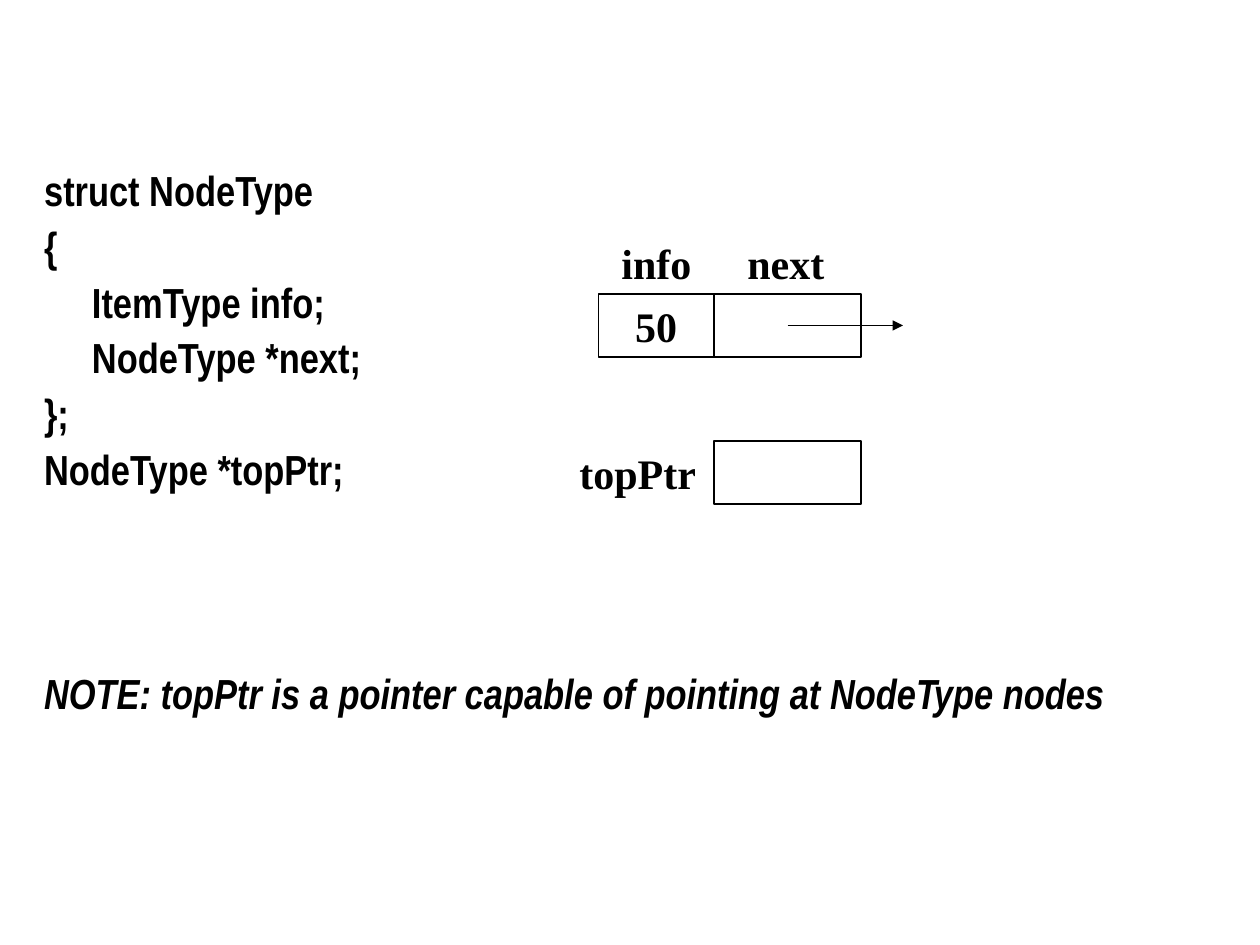
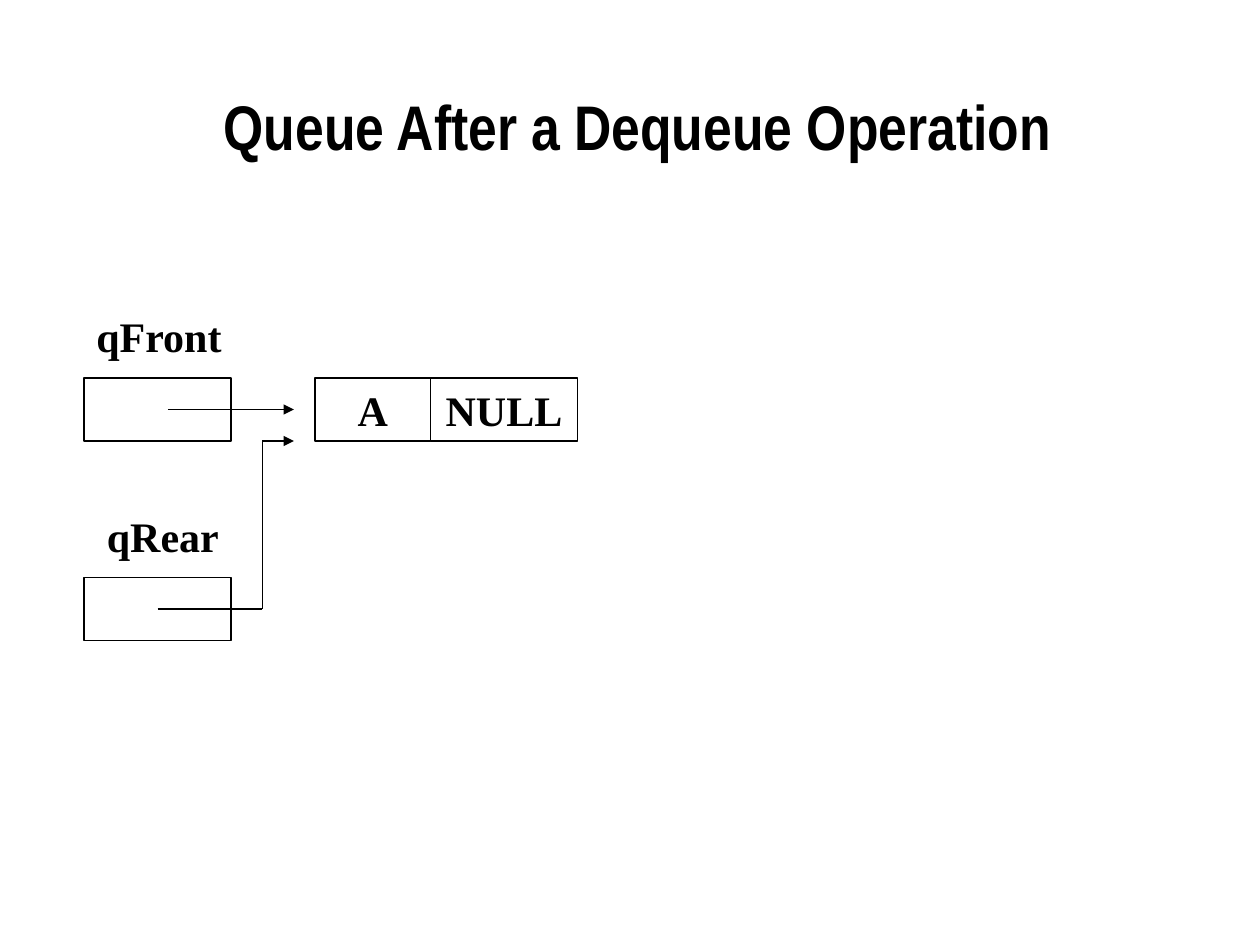
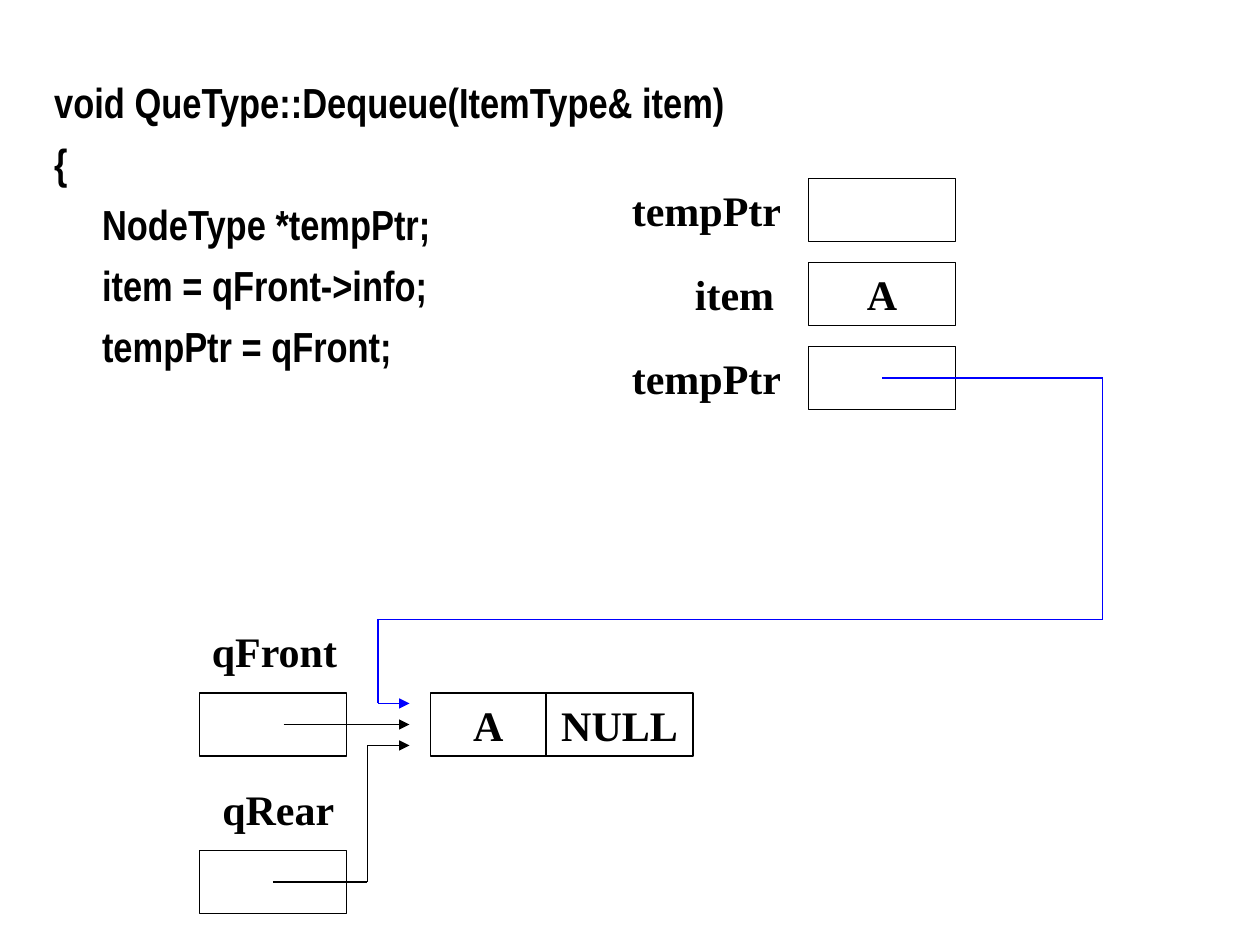
from lxml import etree
from pptx import Presentation
from pptx import util as u
from pptx.dml.color import RGBColor
from pptx.enum import shapes, text
from pptx.oxml.ns import qn

colour = RGBColor.from_string
BLACK, WHITE, BLUE = "000000", "FFFFFF", "0000FF"
CODE_FONT, LABEL_FONT = "Arial Narrow", "Times New Roman"
UNIT = u.Inches(1) // 12  # one grid step
POINTER, INFO, HEIGHT = 14, 11, 6  # box sizes in grid steps


def write(paragraph, words, font=LABEL_FONT, size=24, align=None, italic=False):
    paragraph.text = words
    paragraph.alignment = align
    paragraph.font.name = font
    paragraph.font.size = u.Pt(size)
    paragraph.font.bold = True
    paragraph.font.italic = italic
    paragraph.font.color.rgb = colour(BLACK)


presentation = Presentation()
presentation.slide_width, presentation.slide_height = u.Inches(10), u.Inches(7.5)
content_layout, title_layout = presentation.slide_layouts[1], presentation.slide_layouts[5]
node_slide, queue_slide, dequeue_slide = [
    presentation.slides.add_slide(layout)
    for layout in (content_layout, title_layout, content_layout)
]

title = queue_slide.shapes.title
title.left, title.top = u.Inches(0.33), u.Inches(0.37)
title.width, title.height = u.Inches(9.46), u.Inches(1.25)
title.text_frame.vertical_anchor = text.MSO_ANCHOR.MIDDLE
write(title.text_frame.paragraphs[0], "Queue After a Dequeue Operation",
      font=CODE_FONT, size=36, align=text.PP_ALIGN.CENTER)

# Code: slide, left, top, width, line spacing, lines as (indented, words)
listings = [
    (node_slide, 0.25, 1.3, 9.75, 0.9, [
        (False, "struct NodeType"),
        (False, "{"),
        (True, "ItemType info;"),
        (True, "NodeType *next;"),
        (False, "};"),
        (False, "NodeType *topPtr;"),
        (False, "NOTE: topPtr is a pointer capable of pointing at NodeType nodes"),
    ]),
    (dequeue_slide, 0.33, 0.56, 9.49, 1.0, [
        (False, "void QueType::Dequeue(ItemType& item)"),
        (False, "{"),
        (True, "NodeType *tempPtr;"),
        (True, "item = qFront->info;"),
        (True, "tempPtr = qFront;"),
    ]),
]
for slide, left, top, width, spacing, lines in listings:
    title = slide.shapes.title
    title.element.getparent().remove(title.element)
    body = slide.placeholders[1]
    body.left, body.top = u.Inches(left), u.Inches(top)
    body.width, body.height = u.Inches(width), u.Inches(4.5)
    frame = body.text_frame
    frame.auto_size = text.MSO_AUTO_SIZE.NONE
    frame.vertical_anchor = text.MSO_ANCHOR.TOP
    for number, (indented, words) in enumerate(lines):
        paragraph = frame.add_paragraph() if number else frame.paragraphs[0]
        is_note = words.startswith("NOTE")
        properties = paragraph._p.get_or_add_pPr()
        properties.set("marL", str(u.Inches(0.38)))
        properties.set("indent", str(0 if indented else -u.Inches(0.38)))
        etree.SubElement(properties, qn("a:buNone"))
        paragraph.line_spacing = spacing
        paragraph.space_before = u.Pt(102 if is_note else 6 if number else 0)
        write(paragraph, words, font=CODE_FONT, italic=is_note)

# Boxes: slide, left, top, width, words, in grid steps
boxes = [
    (node_slide, 57, 28, INFO, "50"),
    (node_slide, 57 + INFO, 28, POINTER, ""),
    (node_slide, 57 + INFO, 42, POINTER, ""),
]
# Labels: slide, left, top, width, words
labels = [
    (node_slide, 58, 22, 10, "info"),
    (node_slide, 70, 22, 10, "next"),
    (node_slide, 54, 42, 18, "topPtr"),
]
# Arrows: slide, colour, corner points
arrows = [(node_slide, BLACK, [(75, 31), (86, 31)])]

for row, (left, name, value) in enumerate(
        [(59, "tempPtr", ""), (65, "item", "A"), (59, "tempPtr", "")]):
    top = 17 + 8 * row
    boxes.append((dequeue_slide, 77, top, POINTER, value))
    labels.append((dequeue_slide, left, top, 22, name))

# Queues: slide, left, top of qFront, top of qRear, bend and end of the rear arrow
for slide, left, front, rear, bend, end in [
    (queue_slide, 8, 36, 55, 25, 42),
    (dequeue_slide, 19, 66, 81, 35, 71),
]:
    node = left + 22
    boxes += [
        (slide, left, front, POINTER, ""),
        (slide, node, front, INFO, "A"),
        (slide, node + INFO, front, POINTER, "NULL"),
        (slide, left, rear, POINTER, ""),
    ]
    labels += [
        (slide, left, front - 7, 18, "qFront"),
        (slide, left + 1, rear - 7, 18, "qRear"),
    ]
    arrows += [
        (slide, BLACK, [(left + 8, front + 3), (node - 2, front + 3)]),
        (slide, BLACK, [(left + 7, rear + 3), (bend, rear + 3), (bend, end), (node - 2, end)]),
    ]
arrows.append((dequeue_slide, BLUE,
               [(84, 36), (105, 36), (105, 59), (36, 59), (36, 67), (39, 67)]))

for slide, left, top, width, words in boxes:
    box = slide.shapes.add_shape(shapes.MSO_SHAPE.RECTANGLE, left * UNIT, top * UNIT,
                                 width * UNIT, HEIGHT * UNIT)
    box.shadow.inherit = False
    box.fill.solid()
    box.fill.fore_color.rgb = colour(WHITE)
    box.line.color.rgb = colour(BLACK)
    box.line.width = u.Pt(1)
    if words:
        box.text_frame.word_wrap = False
        box.text_frame.vertical_anchor = text.MSO_ANCHOR.MIDDLE
        write(box.text_frame.paragraphs[0], words, align=text.PP_ALIGN.CENTER)

for slide, left, top, width, words in labels:
    label = slide.shapes.add_textbox(left * UNIT, top * UNIT, width * UNIT, HEIGHT * UNIT)
    label.text_frame.word_wrap = True
    write(label.text_frame.paragraphs[0], words)

for slide, line_colour, points in arrows:
    for start, stop in zip(points, points[1:]):
        connector = slide.shapes.add_connector(
            shapes.MSO_CONNECTOR.STRAIGHT, *(step * UNIT for step in start + stop))
        connector.line.color.rgb = colour(line_colour)
        connector.line.width = u.Pt(1)
        if stop == points[-1]:
            etree.SubElement(connector.line._get_or_add_ln(), qn("a:tailEnd"), type="triangle")
        etree.SubElement(connector._element.spPr, qn("a:effectLst"))

presentation.save("out.pptx")
